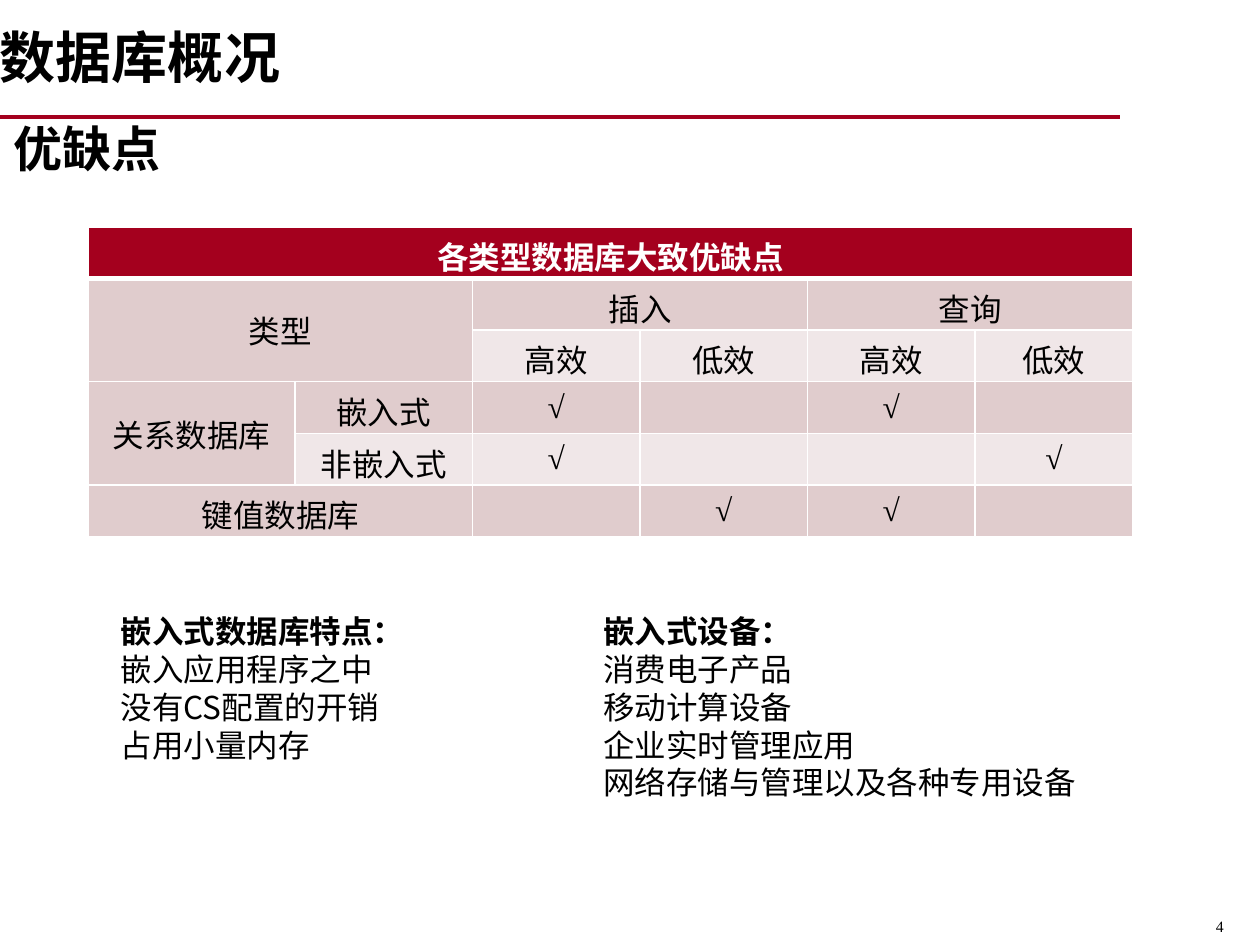
from pptx import Presentation
from pptx import util as u
from pptx.dml.color import RGBColor
from pptx.enum import shapes, text
from pptx.oxml import parse_xml
from pptx.oxml.ns import nsdecls, qn

RED = RGBColor(0xA4, 0x00, 0x1E)
PINK = RGBColor(0xE0, 0xCC, 0xCD)
PALE = RGBColor(0xF0, 0xE7, 0xE8)
WHITE = RGBColor(0xFF, 0xFF, 0xFF)
BLACK = RGBColor(0, 0, 0)
SERIF = "Times New Roman"
SANS = "Noto Sans CJK SC"
LEFT, CENTER, RIGHT = text.PP_ALIGN.LEFT, text.PP_ALIGN.CENTER, text.PP_ALIGN.RIGHT

COLUMNS = [1.64, 1.41, 1.33, 1.33, 1.33, 1.25]
ROW_HEIGHT = 0.41
ROWS = [
    ["各类型数据库大致优缺点", "", "", "", "", ""],
    ["类型", "", "插入", "", "查询", ""],
    ["", "", "高效", "低效", "高效", "低效"],
    ["关系数据库", "嵌入式", "√", "", "√", ""],
    ["", "非嵌入式", "√", "", "", "√"],
    ["键值数据库", "", "", "√", "√", ""],
]
MERGES = [(0, 0, 0, 5), (1, 0, 2, 1), (1, 2, 1, 3), (1, 4, 1, 5), (3, 0, 4, 0), (5, 0, 5, 1)]
FEATURES = ["嵌入式数据库特点：", "嵌入应用程序之中", "没有CS配置的开销", "占用小量内存"]
DEVICES = ["嵌入式设备：", "消费电子产品", "移动计算设备", "企业实时管理应用", "网络存储与管理以及各种专用设备"]


def apply(target, values):
    for name, value in values.items():
        setattr(target, name, value)


def write(para, words, size, font=SERIF, bold=False, color=BLACK, align=LEFT):
    para.alignment = align
    span = para.add_run()
    span.text = words
    apply(span.font, {"size": u.Pt(size), "name": font, "bold": bold})
    span.font.color.rgb = color


def add_box(page, place, lines, **frame_values):
    box = page.shapes.add_textbox(*map(u.Inches, place))
    frame = box.text_frame
    apply(frame, {"word_wrap": True, **frame_values})
    for index, (words, style) in enumerate(lines):
        para = frame.add_paragraph() if index else frame.paragraphs[0]
        write(para, words, **style)
    return frame


def add_list(page, place, lines):
    heading = {"size": 18, "bold": True}
    item = {"size": 18, "font": SANS}
    add_box(page, place, [(words, item if index else heading) for index, words in enumerate(lines)])


def add_rule(page):
    rule = page.shapes.add_connector(
        shapes.MSO_CONNECTOR.STRAIGHT, 0, u.Inches(0.93), u.Inches(8.89), u.Inches(0.93))
    rule.line.color.rgb = RED
    rule.line.width = u.Pt(2.25)
    rule.element.find(qn("p:spPr")).append(parse_xml(f"<a:effectLst {nsdecls('a')}/>"))


def set_borders(cell, bottom):
    properties = cell._tc.get_or_add_tcPr()
    for index, side in enumerate("LRTB"):
        width = u.Pt(bottom if side == "B" else 1)
        properties.insert(index, parse_xml(
            f'<a:ln{side} {nsdecls("a")} w="{width}"><a:solidFill>'
            f'<a:srgbClr val="{WHITE}"/></a:solidFill></a:ln{side}>'))


def format_cell(cell, words, row, column):
    header = row == 0
    pale = row in (2, 4) and column > 0
    cell.fill.solid()
    cell.fill.fore_color.rgb = RED if header else PALE if pale else PINK
    cell.vertical_anchor = text.MSO_ANCHOR.MIDDLE
    set_borders(cell, 3 if header else 1)
    if words != "√":
        cell.margin_bottom = 0
    if not words:
        cell.margin_top = 0
        return
    if cell.is_merge_origin and cell.span_height > 1:
        cell.margin_bottom = u.Inches(0.05)
    write(cell.text_frame.paragraphs[0], words, 18, bold=header,
          color=WHITE if header else BLACK, align=CENTER)


def add_comparison(page):
    frame = page.shapes.add_table(
        len(ROWS), len(COLUMNS), u.Inches(0.7), u.Inches(1.8),
        u.Inches(sum(COLUMNS)), u.Inches(ROW_HEIGHT * len(ROWS)))
    table = frame.table
    for column, width in zip(table.columns, COLUMNS):
        column.width = u.Inches(width)
    for row in table.rows:
        row.height = u.Inches(ROW_HEIGHT)
    for top, left, bottom, right in MERGES:
        table.cell(top, left).merge(table.cell(bottom, right))
    for row, values in enumerate(ROWS):
        for column, words in enumerate(values):
            format_cell(table.cell(row, column), words, row, column)


def main():
    deck = Presentation()
    apply(deck, {"slide_width": u.Inches(10), "slide_height": u.Inches(7.5)})
    page = deck.slides.add_slide(deck.slide_layouts[6])
    middle = text.MSO_ANCHOR.MIDDLE
    add_rule(page)
    add_box(page, (6.35, 7.23, 3.46, 0.25), [("4", {"size": 9, "align": RIGHT})])
    title = add_box(page, (0, 0, 10, 0.94),
                    [("数据库概况", {"size": 32, "font": SANS, "bold": True})],
                    margin_left=0, vertical_anchor=middle)
    title.paragraphs[0].line_spacing = 0.95
    subtitle = add_box(page, (0, 0.94, 1.38, 0.53),
                       [("优缺点", {"size": 28, "bold": True, "align": CENTER})],
                       word_wrap=False, vertical_anchor=middle)
    subtitle.paragraphs[0].line_spacing = 0.9
    add_comparison(page)
    add_list(page, (0.86, 4.81, 4.45, 1.54), FEATURES)
    add_list(page, (4.69, 4.81, 5, 1.92), DEVICES)
    deck.save("out.pptx")


if __name__ == "__main__":
    main()
